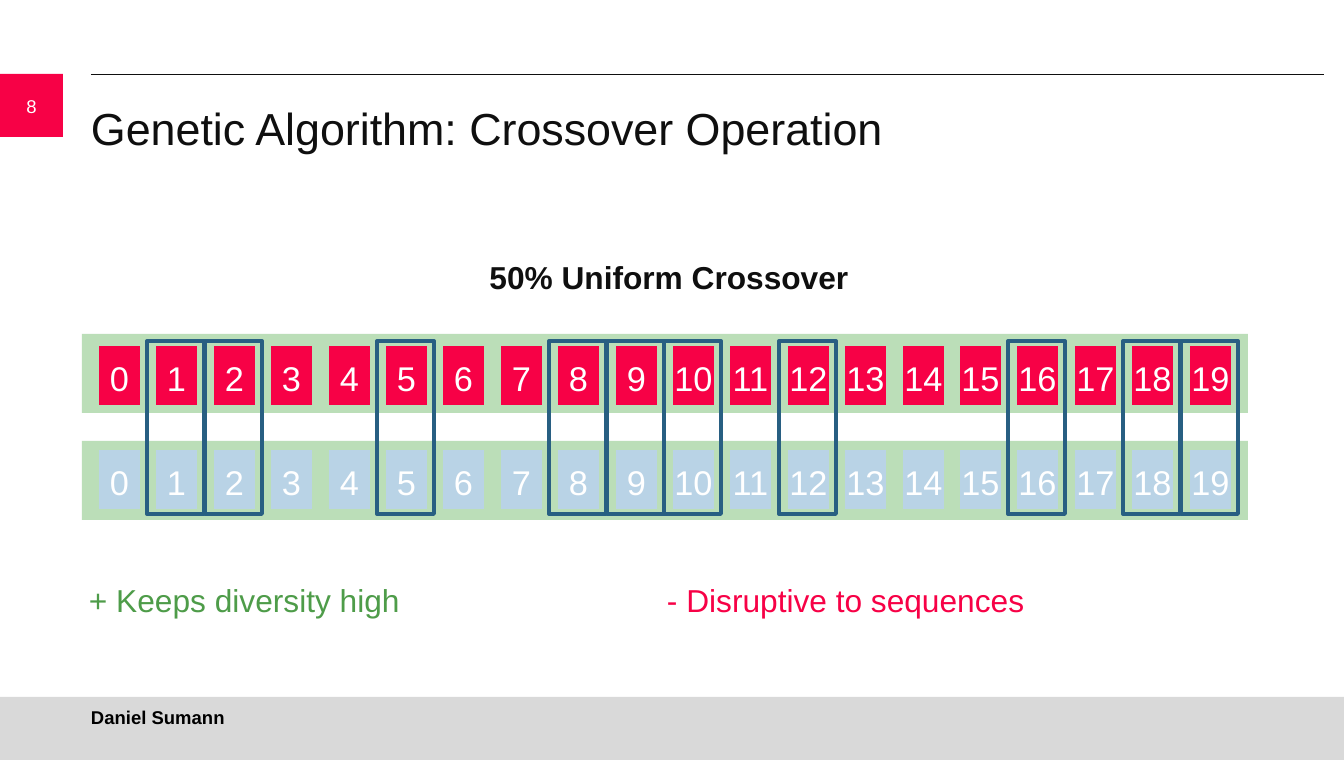
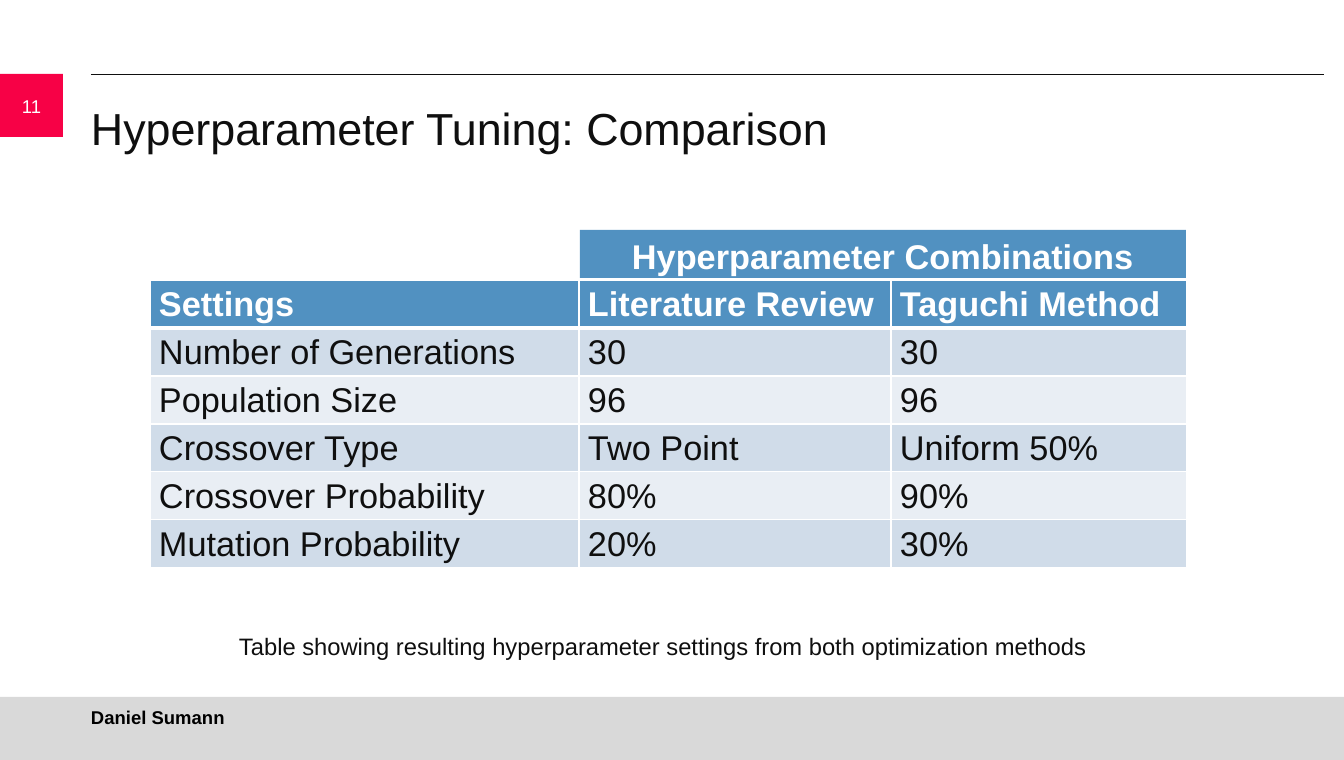
from dataclasses import dataclass

from lxml import etree
from pptx import Presentation
from pptx import util as u
from pptx.dml.color import RGBColor
from pptx.enum import shapes, text
from pptx.oxml import ns

EMU_PER_PX = u.Inches(1) / 95
FONT = "Arial"

INK = RGBColor(0x0F, 0x0F, 0x0F)
BLACK = RGBColor(0x00, 0x00, 0x00)
WHITE = RGBColor(0xFF, 0xFF, 0xFF)
RED = RGBColor(0xF7, 0x01, 0x46)
GREY = RGBColor(0xD9, 0xD9, 0xD9)
GREEN = RGBColor(0x4E, 0x9C, 0x49)
CHROMOSOME_GREEN = RGBColor(0x78, 0xBE, 0x73)
PALE_BLUE = RGBColor(0xB9, 0xD3, 0xE6)
MASK_BLUE = RGBColor(0x28, 0x5F, 0x82)
HEADER_BLUE = RGBColor(0x51, 0x91, 0xC1)
ROW_TINTS = (RGBColor(0xD0, 0xDC, 0xE9), RGBColor(0xE9, 0xEE, 0xF4))

LEFT, CENTER = text.PP_ALIGN.LEFT, text.PP_ALIGN.CENTER
TOP, MIDDLE = text.MSO_ANCHOR.TOP, text.MSO_ANCHOR.MIDDLE
RECT = shapes.MSO_SHAPE.RECTANGLE
GENE_SHAPE = shapes.MSO_SHAPE.FLOWCHART_PROCESS

NO_INSETS = (0, 0, 0, 0)
NOTE_INSETS = (0, 5, 9, 5)


def px(length: int) -> u.Emu:
    return u.Emu(round(length * EMU_PER_PX))


@dataclass(frozen=True)
class Box:
    x: int
    y: int
    w: int
    h: int

    def emu(self) -> tuple:
        return px(self.x), px(self.y), px(self.w), px(self.h)


@dataclass(frozen=True)
class Chromosome:
    band_top: int
    gene_top: int
    gene_fill: RGBColor


@dataclass(frozen=True)
class Note:
    words: str
    box: Box
    size: int = 24
    color: RGBColor = INK
    bold: bool = False
    align: text.PP_ALIGN = LEFT


# Slide frame
TITLE = Box(91, 93, 1234, 63)
NUMBER = Box(0, 74, 63, 63)
FOOTER_BAND = Box(0, 697, 1344, 63)
FOOTER = Box(91, 705, 1217, 23)

# Crossover diagram
CHROMOSOMES = (
    Chromosome(441, 450, PALE_BLUE),
    Chromosome(334, 346, RED),
)
GENE_COUNT = 20
GENE_LEFT, GENE_PITCH = 99, 57.4
SWAPPED_GENES = (1, 2, 5, 8, 9, 10, 12, 16, 18, 19)
CROSSOVER_NOTES = (
    Note("50% Uniform Crossover", Box(485, 249, 377, 48), bold=True, align=CENTER),
    Note("+ Keeps diversity high", Box(89, 572, 578, 48), color=GREEN),
    Note("- Disruptive to sequences", Box(667, 572, 578, 48), color=RED),
)

# Comparison table
COLUMN_WIDTHS = (429, 312, 296)
ROW_HEIGHT = 48
SETTINGS = (
    ("Settings", "Literature Review", "Taguchi Method"),
    ("Number of Generations", "30", "30"),
    ("Population Size", "96", "96"),
    ("Crossover Type", "Two Point", "Uniform 50%"),
    ("Crossover Probability", "80%", "90%"),
    ("Mutation Probability", "20%", "30%"),
)
TABLE_CAPTION = Note(
    "Table showing resulting hyperparameter settings from both optimization methods",
    Box(239, 624, 865, 38), size=18,
)


# Drawing helpers
def write(frame, words: str, *, size: int, color: RGBColor = INK, bold: bool = False,
          align=LEFT, anchor=TOP, insets: tuple = NO_INSETS) -> None:
    """Fill a text frame with one formatted paragraph."""
    frame.word_wrap = True
    frame.auto_size = text.MSO_AUTO_SIZE.NONE
    frame.vertical_anchor = anchor
    (frame.margin_left, frame.margin_top,
     frame.margin_right, frame.margin_bottom) = map(px, insets)
    write_paragraph(frame.paragraphs[0], words, size, color, bold, align)


def write_paragraph(paragraph, words: str, size: int, color: RGBColor,
                    bold: bool, align) -> None:
    paragraph.alignment = align
    paragraph.line_spacing = 1.1
    run = paragraph.add_run()
    run.text = words
    run.font.name = FONT
    run.font.size = u.Pt(size)
    run.font.bold = bold
    run.font.color.rgb = color


def add_panel(slide, box: Box, fill: RGBColor | None = None, kind=RECT):
    panel = slide.shapes.add_shape(kind, *box.emu())
    panel.shadow.inherit = False
    panel.line.fill.background()
    if fill is None:
        panel.fill.background()
    else:
        panel.fill.solid()
        panel.fill.fore_color.rgb = fill
    return panel


def add_note(slide, note: Note) -> None:
    label = slide.shapes.add_textbox(*note.box.emu())
    write(label.text_frame, note.words, size=note.size, color=note.color,
          bold=note.bold, align=note.align, insets=NOTE_INSETS)


def set_opacity(panel, percent: int) -> None:
    color = panel.element.spPr.find(ns.qn("a:solidFill"))[0]
    etree.SubElement(color, ns.qn("a:alpha"), val=str(percent * 1000))


def set_borders(cell, bottom_width: int) -> None:
    properties = cell._tc.get_or_add_tcPr()
    for side, width in (("L", 1), ("R", 1), ("T", 1), ("B", bottom_width)):
        border = etree.SubElement(properties, ns.qn(f"a:ln{side}"), w=str(u.Pt(width)))
        fill = etree.SubElement(border, ns.qn("a:solidFill"))
        etree.SubElement(fill, ns.qn("a:srgbClr"), val=str(WHITE))


def add_framed_slide(deck, title: str, number: int):
    """Add a slide with the title, number, rule and footer all slides share."""
    slide = deck.slides.add_slide(deck.slide_layouts[5])
    heading = slide.shapes.title
    heading.left, heading.top, heading.width, heading.height = TITLE.emu()
    write(heading.text_frame, title, size=34, anchor=MIDDLE)

    number_tab = add_panel(slide, NUMBER, RED)
    write(number_tab.text_frame, str(number), size=14, color=WHITE,
          align=CENTER, anchor=MIDDLE)

    rule = slide.shapes.add_connector(
        shapes.MSO_CONNECTOR.STRAIGHT, px(91), px(74), px(1324), px(74))
    rule.line.color.rgb = INK
    rule.line.width = u.Pt(0.5)
    etree.SubElement(rule.element.spPr, ns.qn("a:effectLst"))

    add_panel(slide, FOOTER_BAND, GREY)
    author = slide.shapes.add_textbox(*FOOTER.emu())
    write(author.text_frame, "Daniel Sumann", size=14, color=BLACK,
          bold=True, anchor=MIDDLE)
    return slide


# Slides
def gene_x(gene: int) -> int:
    return round(GENE_LEFT + gene * GENE_PITCH)


def add_chromosome(slide, chromosome: Chromosome) -> None:
    band = add_panel(slide, Box(82, chromosome.band_top, 1166, 79), CHROMOSOME_GREEN)
    set_opacity(band, 50)
    for number in range(GENE_COUNT):
        box = Box(gene_x(number), chromosome.gene_top, 41, 59)
        gene = add_panel(slide, box, chromosome.gene_fill, GENE_SHAPE)
        write(gene.text_frame, str(number), size=26, color=WHITE,
              align=CENTER, anchor=MIDDLE)


def build_crossover(deck) -> None:
    slide = add_framed_slide(deck, "Genetic Algorithm: Crossover Operation", 8)
    for chromosome in CHROMOSOMES:
        add_chromosome(slide, chromosome)
    for gene in SWAPPED_GENES:
        mask = add_panel(slide, Box(gene_x(gene) - 9, 341, 57, 173))
        mask.line.color.rgb = MASK_BLUE
        mask.line.width = u.Pt(3)
    for note in CROSSOVER_NOTES:
        add_note(slide, note)


def build_comparison(deck) -> None:
    slide = add_framed_slide(deck, "Hyperparameter Tuning: Comparison", 11)
    box = Box(150, 280, sum(COLUMN_WIDTHS), ROW_HEIGHT * len(SETTINGS))
    table = slide.shapes.add_table(
        len(SETTINGS), len(COLUMN_WIDTHS), *box.emu()).table
    for column, width in zip(table.columns, COLUMN_WIDTHS):
        column.width = px(width)
    for row, values in enumerate(SETTINGS):
        is_header = row == 0
        for column, value in enumerate(values):
            cell = table.cell(row, column)
            set_borders(cell, 3 if is_header else 1)
            cell.fill.solid()
            cell.fill.fore_color.rgb = HEADER_BLUE if is_header else ROW_TINTS[(row - 1) % 2]
            cell.margin_left = cell.margin_right = px(9)
            cell.margin_top = cell.margin_bottom = px(2)
            write_paragraph(cell.text_frame.paragraphs[0], value, 26,
                            WHITE if is_header else INK, is_header, LEFT)

    group_header = add_panel(slide, Box(580, 230, 606, 48), HEADER_BLUE)
    write(group_header.text_frame, "Hyperparameter Combinations", size=26,
          color=WHITE, bold=True, align=CENTER, anchor=MIDDLE)
    add_note(slide, TABLE_CAPTION)


def main() -> None:
    deck = Presentation()
    deck.slide_width, deck.slide_height = px(1344), px(760)
    build_crossover(deck)
    build_comparison(deck)
    deck.save("out.pptx")


if __name__ == "__main__":
    main()
